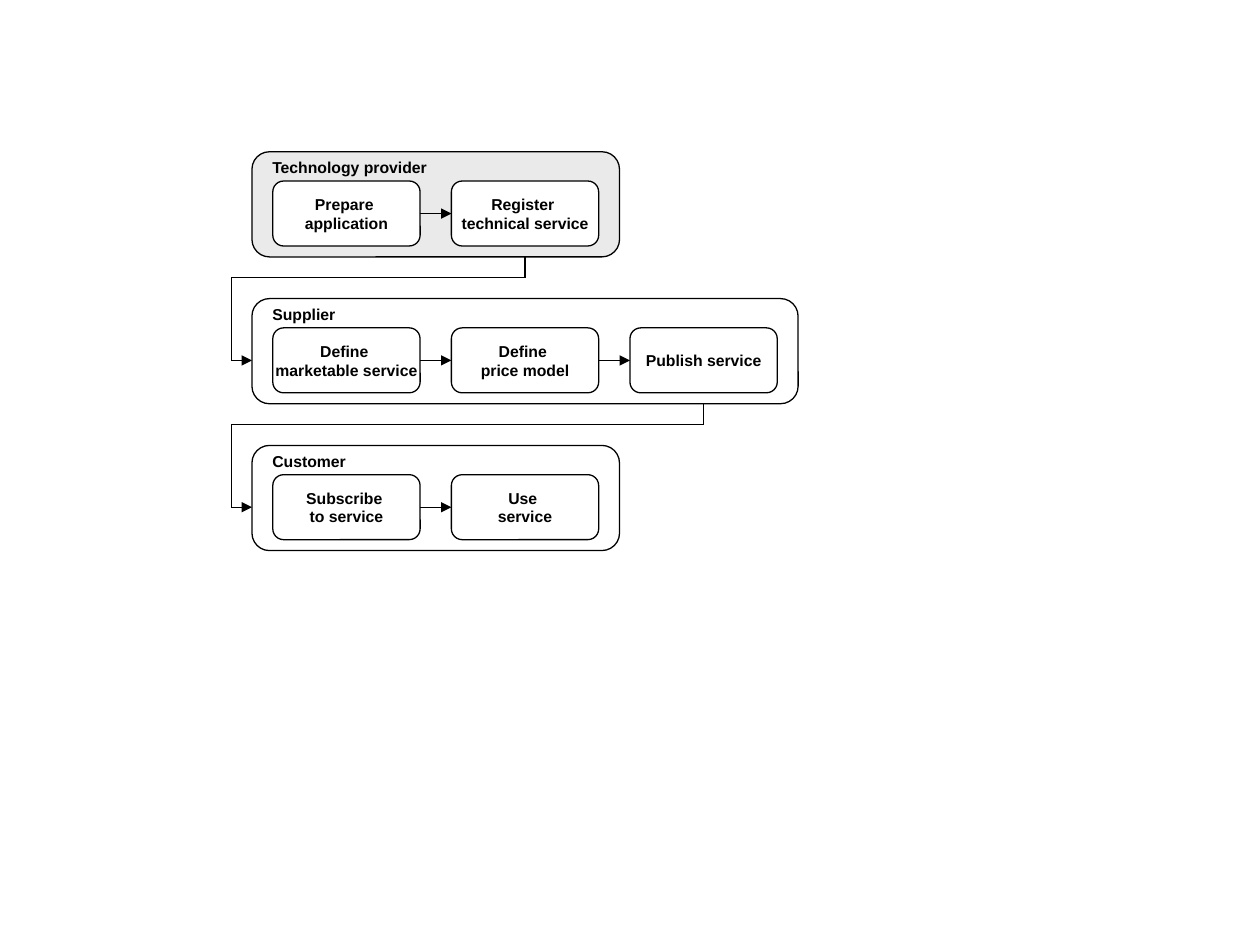
from dataclasses import dataclass

import lxml.etree
import pptx
import pptx.dml.color
import pptx.enum.shapes
import pptx.enum.text
import pptx.oxml.ns
import pptx.util

Cm = pptx.util.Cm
Pt = pptx.util.Pt
qn = pptx.oxml.ns.qn

HUES = {"ink": "000000", "white": "FFFFFF", "grey": "EAEAEA"}

# All lengths are in centimetres.
LEFT, TOP, PITCH = 5.08, 3.06, 2.96
LANE_H = 2.12
PAD, HEAD = 0.42, 0.59
STEP_W, STEP_H, GAP = 2.97, 1.31, 0.63
RAIL = LEFT - PAD
LABEL_X, LABEL_H = 5.24, 0.64


@dataclass
class Lane:
    name: str
    name_w: float
    hue: str
    steps: list[str]


LANES = [
    Lane("Technology provider", 3.8, "grey",
         ["Prepare \napplication", "Register \ntechnical service"]),
    Lane("Supplier", 2, "white",
         ["Define \vmarketable service", "Define \nprice model", "Publish service"]),
    Lane("Customer", 2.2, "white",
         ["Subscribe \nto service", "Use \nservice"]),
]


def color(name: str) -> pptx.dml.color.RGBColor:
    return pptx.dml.color.RGBColor.from_string(HUES[name])


def write(shape, text: str, align, anchor) -> None:
    frame = shape.text_frame
    frame.text = text
    frame.word_wrap = False
    frame.vertical_anchor = anchor
    for para in frame.paragraphs:
        para.alignment = align
        for run in para.runs:
            run.font.name = "Arial"
            run.font.size = Pt(9)
            run.font.bold = True
            run.font.color.rgb = color("ink")


def add_box(slide, x: float, y: float, w: float, h: float, hue: str):
    box = slide.shapes.add_shape(
        pptx.enum.shapes.MSO_SHAPE.ROUNDED_RECTANGLE, Cm(x), Cm(y), Cm(w), Cm(h))
    box.shadow.inherit = False
    box.fill.solid()
    box.fill.fore_color.rgb = color(hue)
    box.line.color.rgb = color("ink")
    box.line.width = Pt(0.75)
    return box


def add_line(slide, start: tuple, end: tuple, arrow: bool = False):
    line = slide.shapes.add_connector(
        pptx.enum.shapes.MSO_CONNECTOR.STRAIGHT, *map(Cm, start + end))
    line.line.color.rgb = color("ink")
    line.line.width = Pt(0.75)
    if arrow:
        tail = lxml.etree.SubElement(line.line._get_or_add_ln(), qn("a:tailEnd"))
        tail.set("type", "triangle")
    lxml.etree.SubElement(line._element.spPr, qn("a:effectLst"))
    return line


def add_lane(slide, lane: Lane, y: float) -> None:
    """Draw the lane's frame and label, with its steps and the arrows between."""
    count = len(lane.steps)
    width = 2 * PAD + count * STEP_W + (count - 1) * GAP
    add_box(slide, LEFT, y, width, LANE_H, lane.hue)
    label = slide.shapes.add_textbox(
        Cm(LABEL_X), Cm(y), Cm(lane.name_w), Cm(LABEL_H))
    write(label, lane.name, pptx.enum.text.PP_ALIGN.LEFT,
          pptx.enum.text.MSO_ANCHOR.TOP)

    mid = y + HEAD + STEP_H / 2
    last = None
    for i, text in enumerate(lane.steps):
        x = LEFT + PAD + i * (STEP_W + GAP)
        step = add_box(slide, x, y + HEAD, STEP_W, STEP_H, "white")
        write(step, text, pptx.enum.text.PP_ALIGN.CENTER,
              pptx.enum.text.MSO_ANCHOR.MIDDLE)
        if last is not None:
            arrow = add_line(slide, (x - GAP, mid), (x, mid), True)
            arrow.begin_connect(last, 3)
            arrow.end_connect(step, 1)
        last = step


def add_route(slide, lane: Lane, y: float) -> None:
    """Lead from under the lane's last step round to the side of the next lane."""
    x = LEFT + PAD + (len(lane.steps) - 1) * (STEP_W + GAP) + STEP_W / 2
    base = y + LANE_H
    turn = (base + y + PITCH) / 2
    mid = y + PITCH + HEAD + STEP_H / 2
    spots = [(x, base), (x, turn), (RAIL, turn), (RAIL, mid), (LEFT, mid)]
    for start, end in zip(spots, spots[1:]):
        add_line(slide, start, end, end == spots[-1])


def main() -> None:
    deck = pptx.Presentation()
    deck.slide_width, deck.slide_height = Cm(25.4), Cm(19.05)
    slide = deck.slides.add_slide(deck.slide_layouts[6])
    for i, lane in enumerate(LANES):
        y = TOP + i * PITCH
        add_lane(slide, lane, y)
        if i < len(LANES) - 1:
            add_route(slide, lane, y)
    deck.save("out.pptx")


if __name__ == "__main__":
    main()
